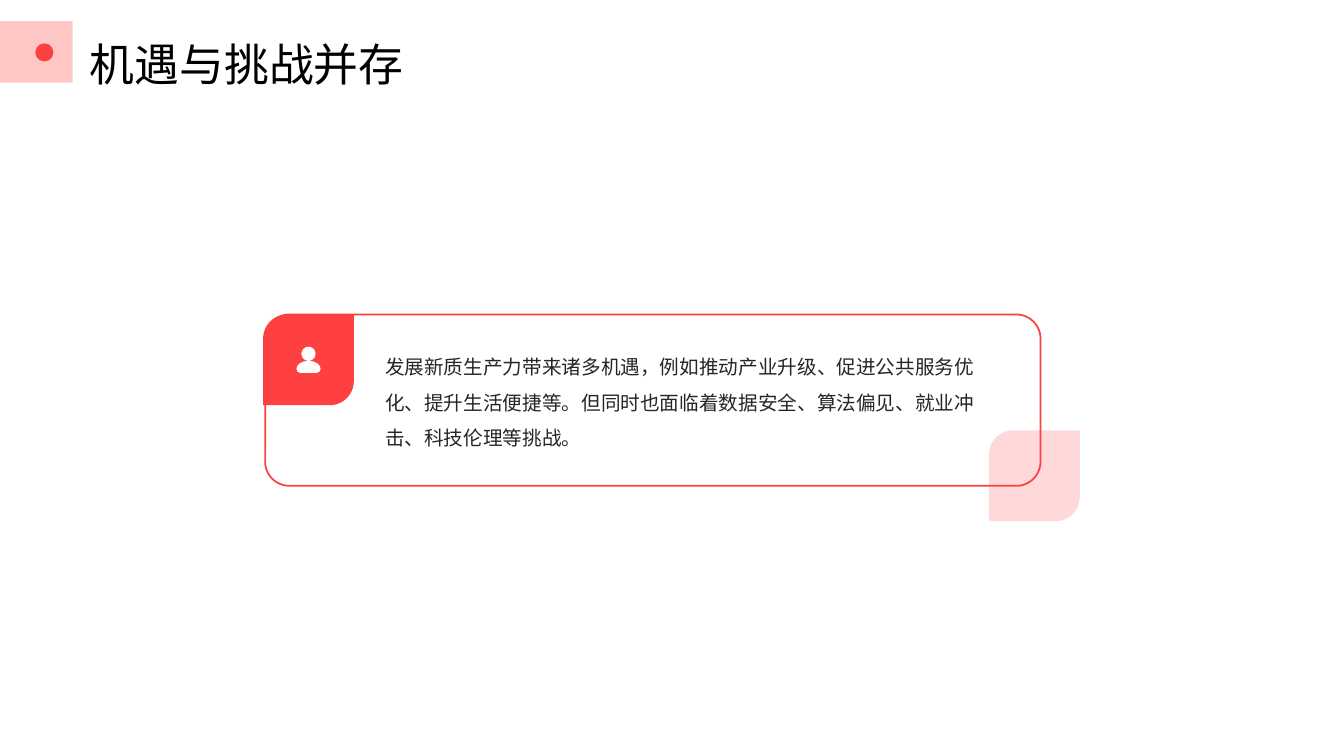
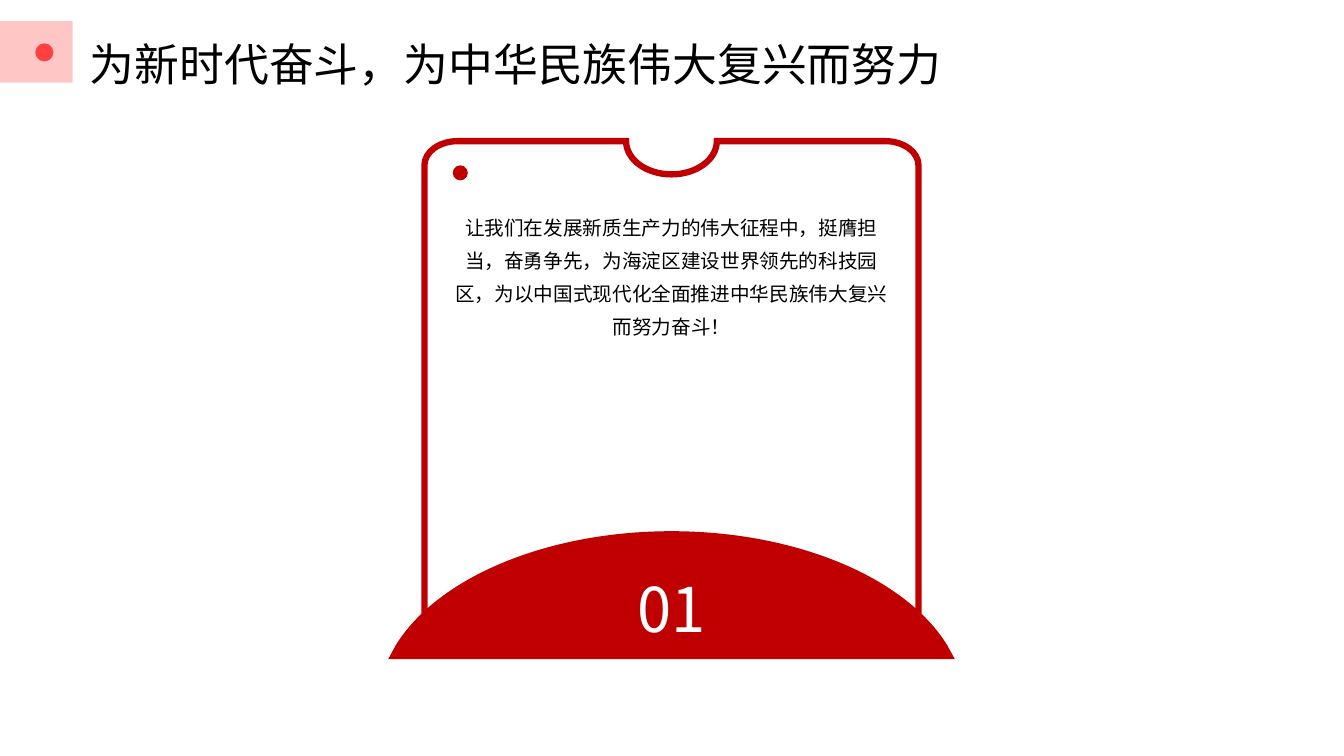
import math

from lxml import etree
from pptx import Presentation
from pptx.dml.color import RGBColor
from pptx.enum import shapes, text
from pptx.oxml import ns
from pptx.util import Inches, Pt

# Shared style
FONT = "Noto Sans CJK SC"
RED = RGBColor(0xFF, 0x40, 0x40)
DEEP_RED = RGBColor(0xC0, 0x00, 0x00)
PINK = RGBColor(0xFF, 0xB3, 0xB3)
PALE_PINK = RGBColor(0xFF, 0xD9, 0xD9)
WHITE = RGBColor(0xFF, 0xFF, 0xFF)
BLACK = RGBColor(0x00, 0x00, 0x00)
GREY = RGBColor(0x26, 0x26, 0x26)
SHAPE = shapes.MSO_SHAPE
ALIGN = text.PP_ALIGN
ANCHOR = text.MSO_ANCHOR
PER_INCH = 1000  # freeform grid


def paint(sp, fill=None, line=None, width=1):
    sp.shadow.inherit = False
    if fill is None:
        sp.fill.background()
    else:
        sp.fill.solid()
        sp.fill.fore_color.rgb = fill
    if line is None:
        sp.line.fill.background()
    else:
        sp.line.color.rgb = line
        sp.line.width = Pt(width)
        ln = sp._element.spPr.find(ns.qn("a:ln"))
        etree.SubElement(ln, ns.qn("a:miter")).set("lim", "800000")
    return sp


def add_preset(s, kind, x, y, w, h, adj=(), **style):
    sp = s.shapes.add_shape(kind, Inches(x), Inches(y), Inches(w), Inches(h))
    for i, value in enumerate(adj):
        sp.adjustments[i] = value
    return paint(sp, **style)


def arc(cx, cy, rx, ry, start, end):
    """Elliptical arc as a start point and Bezier curves; degrees, clockwise from the right."""
    n = math.ceil(abs(end - start) / 90)
    step = math.radians(end - start) / n
    k = 4 / 3 * math.tan(step / 4)

    def at(a, pull):
        return (cx + rx * (math.cos(a) - pull * math.sin(a)),
                cy + ry * (math.sin(a) + pull * math.cos(a)))

    angles = [math.radians(start) + step * i for i in range(n + 1)]
    curves = [at(a, k) + at(b, -k) + at(b, 0) for a, b in zip(angles, angles[1:])]
    return [at(angles[0], 0)] + curves


def add_outline(s, x, y, *contours, **style):
    """Closed freeform; a contour lists points (2 numbers) and curves (6), in inches from (x, y)."""
    fb = None
    for contour in contours:
        grid = [(seg[i] * PER_INCH, seg[i + 1] * PER_INCH)
                for seg in contour for i in range(0, len(seg), 2)]
        if fb is None:
            fb = s.shapes.build_freeform(*grid[0], scale=Inches(1) / PER_INCH)
        else:
            fb.move_to(*grid[0])
        fb.add_line_segments(grid[1:], close=True)
    sp = fb.convert_to_shape(Inches(x), Inches(y))

    # Join each curve's three points into one Bezier segment
    lines = iter(list(sp._element.iter(ns.qn("a:lnTo"))))
    for contour in contours:
        for seg in contour[1:]:
            curve = next(lines)
            if len(seg) == 6:
                curve.tag = ns.qn("a:cubicBezTo")
                for _ in range(2):
                    extra = next(lines)
                    curve.append(extra[0])
                    extra.getparent().remove(extra)
    return paint(sp, **style)


def set_text(sp, words, size, color, spacing, align=ALIGN.LEFT, anchor=ANCHOR.TOP, inset=True):
    tf = sp.text_frame
    tf.text = words
    tf.word_wrap = True
    tf.auto_size = text.MSO_AUTO_SIZE.NONE
    tf.vertical_anchor = anchor
    if not inset:
        tf.margin_left = tf.margin_top = tf.margin_right = tf.margin_bottom = 0
    p = tf.paragraphs[0]
    p.alignment = align
    p.line_spacing = spacing
    p._p.get_or_add_pPr().set("hangingPunct", "0")
    r = p.runs[0]
    r.font.size = Pt(size)
    r.font.name = FONT
    r.font.color.rgb = color
    etree.SubElement(r.font._element, ns.qn("a:ea")).set("typeface", FONT)


def add_text(s, x, y, w, h, words, *args, **style):
    box = s.shapes.add_textbox(Inches(x), Inches(y), Inches(w), Inches(h))
    set_text(box, words, *args, **style)


def new_slide(prs, title):
    """Slide with the title and its pink marker."""
    s = prs.slides.add_slide(prs.slide_layouts[5])
    sp = s.shapes.title
    sp.left, sp.top, sp.width, sp.height = Inches(0.89), Inches(0.26), Inches(8.51), Inches(0.47)
    set_text(sp, title, 32, BLACK, 1.5, anchor=ANCHOR.MIDDLE, inset=False)
    band = add_preset(s, SHAPE.RECTANGLE, 0, 0.21, 0.72, 0.61, fill=PINK)
    color = band.fill._xPr.find(".//" + ns.qn("a:srgbClr"))
    etree.SubElement(color, ns.qn("a:alpha")).set("val", "75000")
    add_preset(s, SHAPE.OVAL, 0.35, 0.43, 0.18, 0.18, fill=RED)
    return s


def add_person(s, x, y, w=0.24):
    mid = w / 2
    shoulders = (arc(mid, 0.22, mid, 0.08, 180, 360)
                 + arc(w - 0.04, 0.22, 0.04, 0.04, 0, 90)
                 + arc(0.04, 0.22, 0.04, 0.04, 90, 180))
    head = arc(mid, 0.07, 0.07, 0.07, 0, 360)
    add_outline(s, x, y, shoulders, head, fill=WHITE)


def add_quote_card(s, x, y, w, h, words):
    """Outlined card with a leaf at two corners and an icon."""
    leaf = dict(w=0.9, h=0.9, adj=(0.265, 0))
    add_preset(s, SHAPE.ROUND_2_DIAG_RECTANGLE, x + w - 0.51, y + h - 0.55, fill=PALE_PINK, **leaf)
    add_preset(s, SHAPE.ROUNDED_RECTANGLE, x, y, w, h, adj=(0.141,), line=RED, width=1.25)
    add_text(s, x + 1.09, y + 0.24, w - 1.34, h - 0.5, words, 14, GREY, 1.5)
    add_preset(s, SHAPE.ROUND_2_DIAG_RECTANGLE, x - 0.02, y, fill=RED, **leaf)
    add_person(s, x + 0.31, y + 0.32)


def add_notched_card(s, x, y, w, h, number, words):
    """Card with a notch at the top and a numbered dome at the foot."""
    mid, rx, ry = w / 2, 0.33, 0.24
    card = (arc(rx, ry, rx, ry, 180, 270)
            + arc(mid, 0, 0.45, 0.33, 180, 0)
            + arc(w - rx, ry, rx, ry, 270, 360)
            + arc(w - rx, h - ry, rx, ry, 0, 90)
            + arc(rx, h - ry, rx, ry, 90, 180))
    add_outline(s, x, y, card, fill=WHITE, line=DEEP_RED, width=4.5)
    dome = [(-2.81, 1.27)] + arc(0, 1.72, 2.91, 1.72, 200, 340) + [(2.81, 1.27)]
    add_outline(s, x + mid, y + h - 1.08, dome, fill=DEEP_RED)
    add_text(s, x + 0.24, y + 0.65, w - 0.48, 2.92, words, 14, BLACK, 1.4,
             align=ALIGN.CENTER, inset=False)
    add_text(s, x + mid - 1.32, y + h - 0.7, 2.65, 0.68, number, 44, WHITE, 1.1,
             align=ALIGN.CENTER, anchor=ANCHOR.MIDDLE, inset=False)
    add_preset(s, SHAPE.OVAL, x + 0.28, y + 0.24, 0.15, 0.15, fill=DEEP_RED)


def main():
    prs = Presentation()
    prs.slide_width, prs.slide_height = Inches(13.33), Inches(7.5)

    s = new_slide(prs, "机遇与挑战并存")
    add_quote_card(s, 2.63, 3.12, 7.69, 1.7,
                   "发展新质生产力带来诸多机遇，例如推动产业升级、促进公共服务优化、提升生活便捷等。"
                   "但同时也面临着数据安全、算法偏见、就业冲击、科技伦理等挑战。")

    s = new_slide(prs, "为新时代奋斗，为中华民族伟大复兴而努力")
    add_notched_card(s, 4.21, 1.4, 4.9, 4.95, "01",
                     "让我们在发展新质生产力的伟大征程中，挺膺担当，奋勇争先，为海淀区建设世界领先的科技园区，"
                     "为以中国式现代化全面推进中华民族伟大复兴而努力奋斗！")

    prs.save("out.pptx")


if __name__ == "__main__":
    main()
